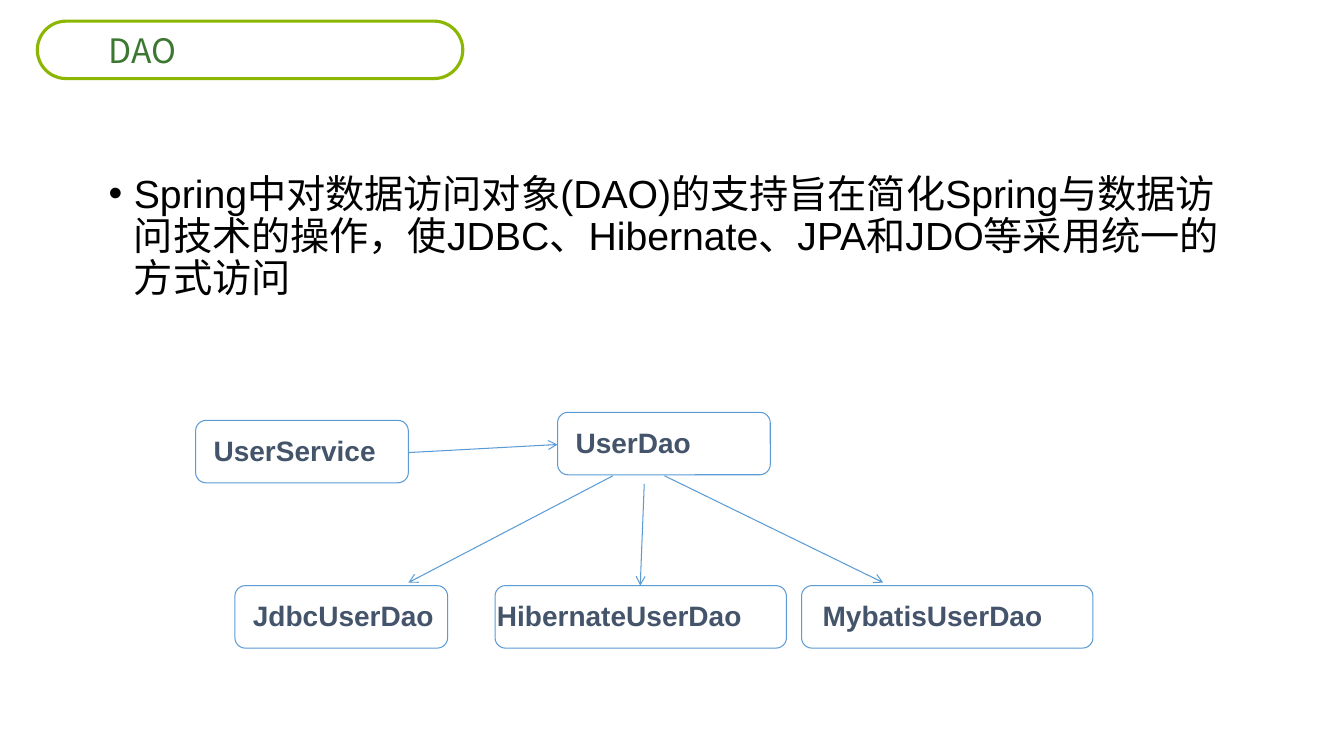
"""Build the DAO slide: a title pill, one bullet and a class diagram."""
from lxml import etree
from pptx import Presentation
from pptx.dml.color import RGBColor
from pptx.enum import shapes as kinds
from pptx.oxml import ns
from pptx.util import Inches, Pt

BLACK = RGBColor(0, 0, 0)
LIME = RGBColor(0x8B, 0xB7, 0x03)
GREEN = RGBColor(0x3C, 0x78, 0x32)
BLUE = RGBColor(0x5B, 0x9B, 0xD5)
SLATE = RGBColor(0x44, 0x54, 0x6A)
CJK = "Noto Sans CJK SC"

deck = Presentation()
deck.slide_width, deck.slide_height = Inches(13.33), Inches(7.5)
slide = deck.slides.add_slide(deck.slide_layouts[6])


def write(words, at, size=20, font="Arial", color=SLATE, bold=False, wrap=True):
    box = slide.shapes.add_textbox(*map(Inches, at))
    box.text_frame.word_wrap = wrap
    para = box.text_frame.paragraphs[0]
    run = para.add_run()
    run.text = words
    run.font.size, run.font.name, run.font.bold = Pt(size), font, bold
    run.font.color.rgb = color
    etree.SubElement(run.font._element, ns.qn("a:ea"), typeface=CJK)
    return para


def frame(at, color, width, round):
    box = slide.shapes.add_shape(kinds.MSO_SHAPE.ROUNDED_RECTANGLE, *map(Inches, at))
    box.adjustments[0] = round
    box.shadow.inherit = False
    box.fill.background()
    box.line.color.rgb, box.line.width = color, Pt(width)


frame((0.37, 0.21, 4.22, 0.57), LIME, 2.25, 0.5)
write("DAO", (0.98, 0.25, 0.96, 0.5), size=24, font=CJK, color=GREEN, wrap=False)

point = write(
    "Spring中对数据访问对象(DAO)的支持旨在简化Spring与数据访问技术的操作，"
    "使JDBC、Hibernate、JPA和JDO等采用统一的方式访问",
    (0.98, 1.68, 11.5, 4.76), size=28, color=BLACK)
point.line_spacing, point.space_before = 0.9, Pt(10)
props = point._p.get_or_add_pPr()
props.set("marL", str(Inches(0.25)))
props.set("indent", str(Inches(-0.25)))
etree.SubElement(props, ns.qn("a:buFont"), typeface="Arial")
etree.SubElement(props, ns.qn("a:buChar"), char="•")

nodes = [
    ("UserService", 1.94, 4.17, 2.11, 0.08, 1.88),
    ("UserDao", 5.53, 4.09, 2.11, 0.08, 1.88),
    ("JdbcUserDao", 2.33, 5.81, 2.11, 0.08, 2.03),
    ("HibernateUserDao", 4.91, 5.81, 2.89, -0.08, 2.71),
    ("MybatisUserDao", 7.95, 5.81, 2.89, 0.11, 2.71),
]
for name, left, top, width, shift, span in nodes:
    frame((left, top, width, 0.62), BLUE, 0.75, 0.167)
    write(name, (left + shift, top + 0.08, span, 0.44), bold=True)

arrows = [
    (6.08, 4.72, 4.05, 5.78),
    (6.39, 4.8, 6.35, 5.81),
    (6.59, 4.72, 8.76, 5.78),
    (4.05, 4.49, 5.53, 4.41),
]
for ends in arrows:
    link = slide.shapes.add_connector(kinds.MSO_CONNECTOR.STRAIGHT, *map(Inches, ends))
    link.line.color.rgb, link.line.width = BLUE, Pt(0.75)
    etree.SubElement(link.line._get_or_add_ln(), ns.qn("a:tailEnd"), type="arrow")
    etree.SubElement(link._element.spPr, ns.qn("a:effectLst"))

deck.save("out.pptx")
